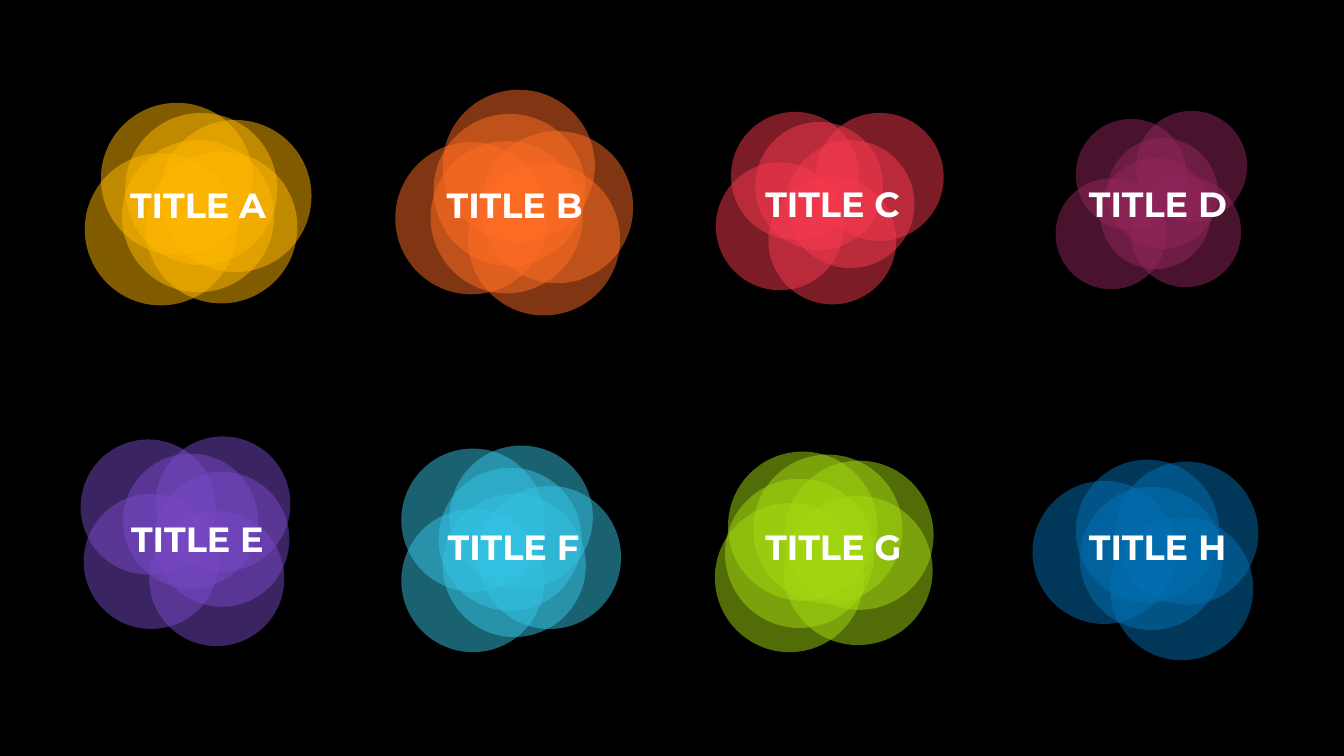
"""Build a slide of eight titled clusters of translucent circles on black."""
from pptx import Presentation
from pptx.dml.color import RGBColor
from pptx.enum import shapes
from pptx.oxml import parse_xml
from pptx.oxml.ns import nsdecls
from pptx.util import Inches, Pt

BLACK = RGBColor(0x00, 0x00, 0x00)
WHITE = RGBColor(0xFF, 0xFF, 0xFF)
GOLD = RGBColor(0xFF, 0xB7, 0x00)
ORANGE = RGBColor(0xFF, 0x6D, 0x24)
RED = RGBColor(0xF7, 0x39, 0x4E)
PLUM = RGBColor(0x92, 0x26, 0x5A)
PURPLE = RGBColor(0x77, 0x49, 0xC5)
CYAN = RGBColor(0x34, 0xC3, 0xE3)
LIME = RGBColor(0xA4, 0xD9, 0x11)
BLUE = RGBColor(0x03, 0x71, 0xB4)

# Title, colour, title corner, circle diameter, circle corners
clusters = [
    ("TITLE A", GOLD, (1.29, 1.82), 1.51,
     [(1.24, 1.12), (1.58, 1.19), (0.84, 1.52), (1, 1.02), (1.21, 1.39), (1.44, 1.5)]),
    ("TITLE B", ORANGE, (4.43, 1.82), 1.51,
     [(4.3, 1.13), (4.77, 1.3), (3.92, 1.41), (4.39, 0.89), (4.27, 1.4), (4.64, 1.62)]),
    ("TITLE C", RED, (7.59, 1.81), 1.27,
     [(7.49, 1.21), (7.8, 1.39), (7.1, 1.61), (7.25, 1.11), (8.09, 1.12), (7.62, 1.75)]),
    ("TITLE D", PLUM, (10.8, 1.81), 1.1,
     [(10.67, 1.18), (10.98, 1.37), (10.47, 1.77), (10.91, 1.57), (11.27, 1.1), (11.21, 1.75)]),
    ("TITLE E", PURPLE, (1.3, 5.13), 1.34,
     [(1.22, 4.5), (1.53, 4.68), (0.83, 4.9), (0.8, 4.36), (1.54, 4.33), (1.48, 5.07)]),
    ("TITLE F", CYAN, (4.44, 5.21), 1.42,
     [(4.35, 4.64), (4.74, 4.82), (3.98, 5.05), (3.98, 4.45), (4.46, 4.42), (4.39, 4.9)]),
    ("TITLE G", LIME, (7.59, 5.21), 1.48,
     [(7.22, 4.48), (7.78, 4.57), (7.09, 4.99), (7.47, 4.51), (7.19, 4.75), (7.77, 4.92)]),
    ("TITLE H", BLUE, (10.8, 5.21), 1.42,
     [(10.67, 4.56), (11.06, 4.58), (11.01, 5.13), (10.24, 4.77), (10.71, 4.83)]),
]

deck = Presentation()
deck.slide_width = Inches(13.33)
deck.slide_height = Inches(7.5)
slide = deck.slides.add_slide(deck.slide_layouts[6])
slide.background.fill.solid()
slide.background.fill.fore_color.rgb = BLACK

for title, color, (left, top), size, spots in clusters:
    for x, y in spots:
        disc = slide.shapes.add_shape(
            shapes.MSO_SHAPE.OVAL, Inches(x), Inches(y), Inches(size), Inches(size))
        disc.shadow.inherit = False
        disc.line.fill.background()
        disc.fill.solid()
        disc.fill.fore_color.rgb = color
        tint = disc.fill._xPr.find(".//{*}srgbClr")
        tint.append(parse_xml(f'<a:alpha {nsdecls("a")} val="50000"/>'))

    box = slide.shapes.add_textbox(Inches(left), Inches(top), Inches(1.52), Inches(0.51))
    frame = box.text_frame
    frame.word_wrap = True
    frame.margin_left = frame.margin_right = frame.margin_top = frame.margin_bottom = 0
    run = frame.paragraphs[0].add_run()
    run.text = title
    run.font.name = "Montserrat"
    run.font.size = Pt(25)
    run.font.bold = True
    run.font.color.rgb = WHITE

deck.save("out.pptx")
